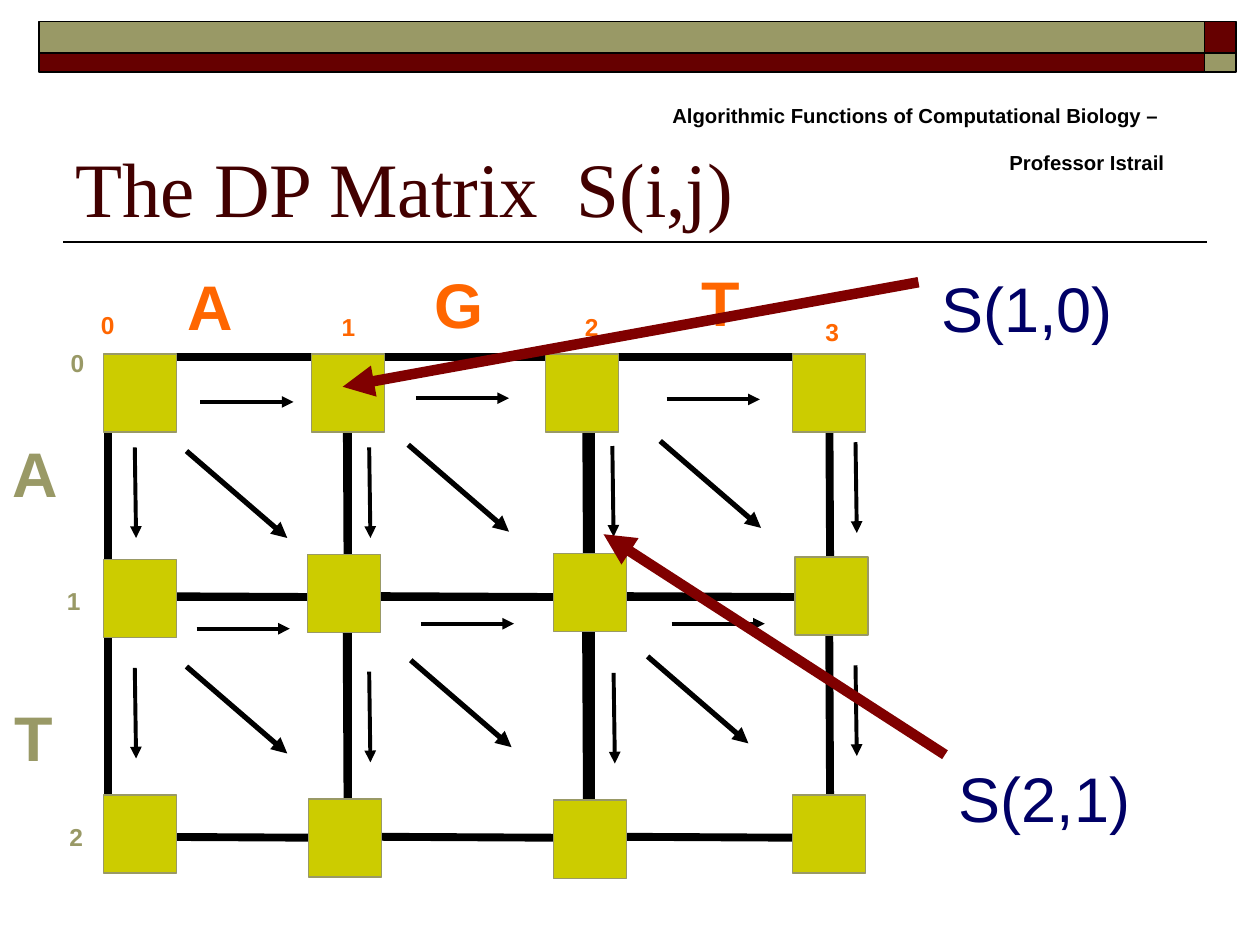
from dataclasses import dataclass
from itertools import product

from lxml.etree import SubElement
from pptx import Presentation
from pptx.dml.color import RGBColor
from pptx.enum.shapes import MSO_CONNECTOR, MSO_SHAPE
from pptx.enum.text import MSO_ANCHOR, PP_ALIGN
from pptx.oxml.ns import qn
from pptx.util import Pt

PX = 9144


@dataclass(frozen=True)
class Theme:
    """Colours, fonts and type sizes of the slide."""
    black: str = "000000"
    maroon: str = "660000"
    olive: str = "999966"
    title: str = "420000"
    orange: str = "FF6600"
    node: str = "CCCC00"
    navy: str = "000066"
    pointer: str = "800000"
    serif: str = "Times New Roman"
    sans: str = "Arial"
    title_size: int = 44
    letter_size: int = 36
    credit_size: int = 20
    index_size: int = 14


@dataclass(frozen=True)
class Box:
    """A rectangle in px that can place smaller boxes and points inside itself."""
    left: int
    top: int
    width: int
    height: int

    def inner(self, left, top, width, height):
        """Return a box placed relative to this one."""
        return Box(self.left + left, self.top + top, width, height)

    def point(self, x, y):
        """Return a point placed relative to this box."""
        return self.left + x, self.top + y

    def emu(self):
        """Return left, top, width and height in EMU."""
        return [value * PX for value in (self.left, self.top, self.width, self.height)]


THEME = Theme()


def apply_format(target, values):
    """Set every attribute named in the dict."""
    for name, value in values.items():
        setattr(target, name, value)


def add_text(page, box, lines, size, color, font=THEME.sans, bold=False,
             align=PP_ALIGN.CENTER, anchor=MSO_ANCHOR.MIDDLE, wrap=False, baseline=0):
    """Add a text box with one paragraph for each line."""
    frame = page.shapes.add_textbox(*box.emu()).text_frame
    apply_format(frame, {"word_wrap": wrap, "vertical_anchor": anchor})
    for index, line in enumerate(lines):
        para = frame.add_paragraph() if index else frame.paragraphs[0]
        para.alignment = align
        span = para.add_run()
        span.text = line
        apply_format(span.font, {"name": font, "size": Pt(size), "bold": bold})
        span.font.color.rgb = RGBColor.from_string(color)
        if baseline:
            span.font._element.set("baseline", str(baseline))


def add_rectangle(page, box, fill, line, width):
    """Add a filled and outlined rectangle."""
    shape = page.shapes.add_shape(MSO_SHAPE.RECTANGLE, *box.emu())
    shape.shadow.inherit = False
    shape.fill.solid()
    shape.fill.fore_color.rgb = RGBColor.from_string(fill)
    shape.line.color.rgb = RGBColor.from_string(line)
    shape.line.width = Pt(width)


def add_line(page, start, end, width, color=THEME.black, arrow=False):
    """Add a straight line, with an arrowhead at its end if asked."""
    ends = [value * PX for value in (*start, *end)]
    line = page.shapes.add_connector(MSO_CONNECTOR.STRAIGHT, *ends)
    line.line.color.rgb = RGBColor.from_string(color)
    line.line.width = Pt(width)
    if arrow:
        SubElement(line.line._get_or_add_ln(), qn("a:tailEnd"), type="triangle")
    SubElement(line._element.spPr, qn("a:effectLst"))


def add_banner(page, box):
    """Draw the two-tone bars with their swapped corner."""
    corner, upper = 25, 25
    wide, lower = box.width - corner, box.height - upper
    for left, top, width, height, fill in (
        (wide, 0, corner, upper, THEME.maroon),
        (0, 0, wide, upper, THEME.olive),
        (0, upper, wide, lower, THEME.maroon),
        (wide, upper, corner, lower, THEME.olive),
    ):
        add_rectangle(page, box.inner(left, top, width, height), fill, THEME.black, 1)


def add_title(page, box):
    """Place the title and the rule under it."""
    add_line(page, box.point(0, box.height + 2), box.point(908, box.height + 2), 1)
    add_text(page, box, ["The DP Matrix  S(i,j)"], THEME.title_size, THEME.title,
             font=THEME.serif, align=PP_ALIGN.LEFT, anchor=MSO_ANCHOR.BOTTOM, wrap=True)


def add_credit(page, box):
    """Place the course and lecturer lines."""
    lines = ["Algorithmic Functions of Computational Biology – ", "Professor Istrail"]
    add_text(page, box, lines, THEME.credit_size, THEME.black, bold=True,
             align=PP_ALIGN.RIGHT, anchor=MSO_ANCHOR.TOP, wrap=True, baseline=-25000)


def add_grid(page, box):
    """Draw the four edges of every matrix cell."""
    edges = (((0, 0), (193, 0)), ((3, 190), (3, -1)),
             ((2, 190), (195, 191)), ((193, 194), (192, -2)))
    for left, top in product((0, 190, 383), (0, 191)):
        for (x1, y1), (x2, y2) in edges:
            add_line(page, box.point(left + x1, top + y1),
                     box.point(left + x2, top + y2), 4.5)


def add_labels(page, box):
    """Write the indices and sequence letters along both axes."""
    columns = (("0", 70, 41), ("1", 261, 42), ("2", 454, 42), ("3", 645, 46))
    rows = (("0", 46, 71), ("1", 43, 260), ("2", 45, 447))
    column_letters = (("A", 139, 7, 56), ("G", 335, 6, 59), ("T", 547, 4, 50))
    row_letters = (("A", 0, 140, 56), ("T", 2, 349, 50))
    for color, indices, letters in ((THEME.orange, columns, column_letters),
                                    (THEME.olive, rows, row_letters)):
        for text, left, top in indices:
            add_text(page, box.inner(left, top, 31, 34), [text],
                     THEME.index_size, color, bold=True)
        for text, left, top, width in letters:
            add_text(page, box.inner(left, top, width, 70), [text],
                     THEME.letter_size, color, bold=True)


def add_nodes(page, box):
    """Draw the square at every matrix entry."""
    places = ((82, 81), (247, 81), (433, 81), (629, 81),
              (82, 244), (244, 240), (439, 239), (631, 242),
              (82, 431), (245, 434), (439, 435), (629, 431))
    for left, top in places:
        add_rectangle(page, box.inner(left, top, 58, 62), THEME.node, THEME.olive, 0.75)


def add_moves(page, box):
    """Draw the right, down and diagonal moves between entries."""
    moves = (
        (74, 0, 2.25, ((159, 119), (330, 116), (529, 117),
                       (156, 299), (334, 295), (533, 295))),
        (1, 72, 2.25, ((107, 155), (293, 155), (486, 154), (679, 151),
                       (107, 330), (293, 333), (487, 334), (679, 328))),
        (80, 69, 3, ((148, 158), (324, 153), (524, 150),
                     (148, 329), (326, 324), (514, 321))),
    )
    for across, down, width, starts in moves:
        for x, y in starts:
            add_line(page, box.point(x, y), box.point(x + across, y + down),
                     width, arrow=True)


def add_matrix(page, box):
    """Assemble the matrix from its grid, labels, nodes and moves."""
    add_grid(page, box.inner(83, 83, 576, 383))
    add_labels(page, box)
    add_nodes(page, box)
    add_moves(page, box)


def add_callout(page, box, text, start, tip):
    """Name an entry and point an arrow at it."""
    add_text(page, box, [text], THEME.letter_size, THEME.navy)
    add_line(page, box.point(*start), box.point(*tip), 6, THEME.pointer, arrow=True)


def main():
    """Build the slide and save it."""
    deck = Presentation()
    apply_format(deck, {"slide_width": 1000 * PX, "slide_height": 750 * PX})
    page = deck.slides.add_slide(deck.slide_layouts[6])
    add_banner(page, Box(31, 17, 950, 40))
    add_title(page, Box(50, 65, 900, 125))
    add_matrix(page, Box(0, 200, 700, 500))
    add_callout(page, Box(751, 598, 156, 70), "S(2,1)", (-1, 1), (-272, -174))
    add_callout(page, Box(737, 209, 156, 70), "S(1,0)", (-8, 15), (-465, 98))
    add_credit(page, Box(392, 58, 542, 86))
    deck.save("out.pptx")


if __name__ == "__main__":
    main()
